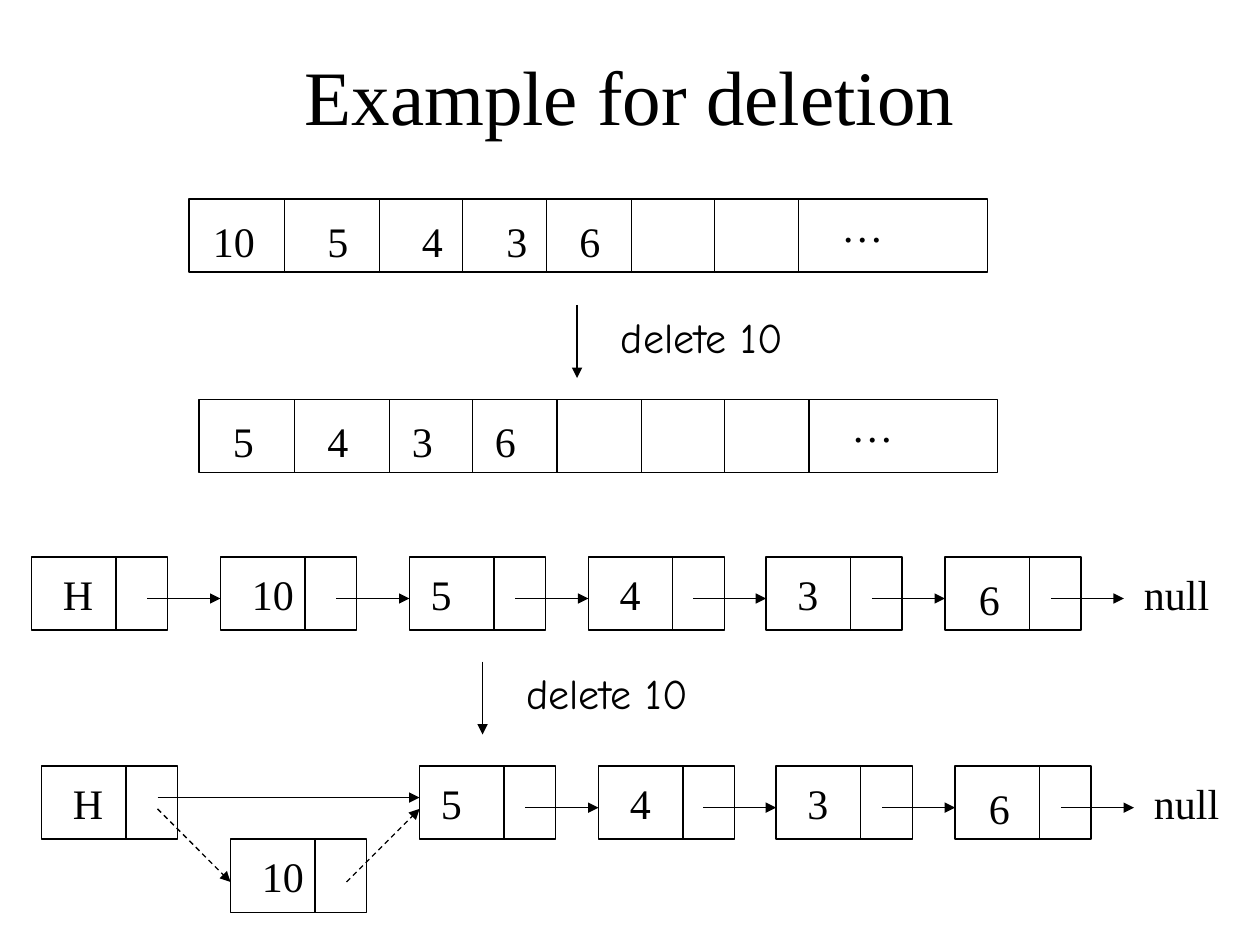
from lxml.etree import SubElement
from pptx import Presentation
from pptx.dml.color import RGBColor
from pptx.enum.dml import MSO_LINE
from pptx.enum.shapes import MSO_CONNECTOR, MSO_SHAPE
from pptx.enum.text import MSO_ANCHOR, PP_ALIGN
from pptx.oxml.ns import qn
from pptx.util import Inches, Pt

BLACK = RGBColor(0, 0, 0)
SERIF, HAND = "Times New Roman", "Comic Neue"
RECT, STRAIGHT = MSO_SHAPE.RECTANGLE, MSO_CONNECTOR.STRAIGHT
DASH, MIDDLE, CENTER = MSO_LINE.DASH, MSO_ANCHOR.MIDDLE, PP_ALIGN.CENTER

HIGH = 0.58          # height of every box, length of every short arrow
NODE, SPLIT = 1.08, 0.67
CUTS = (0.76, 1.51, 2.17, 2.84, 3.51, 4.17, 4.84)
STEPS = (0, 1.5, 3, 4.42, 5.83, 7.25, 8.67)   # six nodes, then null
# value: label offset in its node, label width
LABELS = {
    "H": (0.15, 0.04, 0.44),
    "10": (0.15, 0.04, 0.53),
    "5": (0.07, 0.04, 0.36),
    "4": (0.15, 0.04, 0.36),
    "3": (0.15, 0.04, 0.36),
    "6": (0.17, 0.08, 0.36),
}


class Board:
    def __init__(self, slide, weight=0.75, size=24):
        self.slide = slide
        self.weight = Pt(weight)
        self.size = size

    def text(self, words, x, y, wide, high=0.5, font=SERIF, size=None, tabs=()):
        box = self.slide.shapes.add_textbox(
            Inches(x), Inches(y), Inches(wide), Inches(high))
        frame = box.text_frame
        frame.word_wrap = bool(tabs)
        frame.text = words
        para = frame.paragraphs[0]
        if tabs:
            stops = SubElement(para._p.get_or_add_pPr(), qn("a:tabLst"))
            for stop in tabs:
                SubElement(stops, qn("a:tab"), pos=str(Inches(stop)), algn="l")
        face = para.runs[0].font
        face.name, face.size = font, Pt(size or self.size)
        face.color.rgb = BLACK
        return frame

    def title(self, words):
        frame = self.text(words, 0.75, 0.25, 8.5, 1, size=44)
        frame.word_wrap = True
        frame.vertical_anchor = MIDDLE
        frame.paragraphs[0].alignment = CENTER

    def rect(self, x, y, wide, home=None):
        shape = (home or self.slide).shapes.add_shape(
            RECT, Inches(x), Inches(y), Inches(wide), Inches(HIGH))
        shape.shadow.inherit = False
        shape.fill.background()
        shape.line.color.rgb = BLACK
        shape.line.width = self.weight

    def line(self, x1, y1, x2, y2, head=False, dash=False, home=None):
        link = (home or self.slide).shapes.add_connector(
            STRAIGHT, Inches(x1), Inches(y1), Inches(x2), Inches(y2))
        link.line.color.rgb = BLACK
        link.line.width = self.weight
        if dash:
            link.line.dash_style = DASH
        if head:
            SubElement(link.line._get_or_add_ln(), qn("a:tailEnd"), type="triangle")
        SubElement(link._element.spPr, qn("a:effectLst"))

    def array(self, x, y, words, start, tabs):
        self.rect(x, y, 6.34)
        for cut in CUTS:
            self.line(x + cut, y, x + cut, y + HIGH)
        self.text(words, start, y + 0.08, 3.28, tabs=tabs)
        self.text("…", x + 5.08, y - 0.04, 0.53)

    def node(self, value, x, y):
        group = self.slide.shapes.add_group_shape()
        self.rect(x, y, NODE, group)
        self.line(x + SPLIT, y, x + SPLIT, y + HIGH, home=group)
        dx, dy, wide = LABELS[value]
        self.text(value, x + dx, y + dy, wide)

    def hop(self, x, y):
        """Short arrow that ends at the left edge x of a node in row y."""
        self.line(x - HIGH, y + 0.33, x, y + 0.33, head=True)

    def null(self, x, y):
        self.hop(x, y)
        self.text("null", x + 0.06, y + 0.04, 0.72)

    def step(self, x, y):
        self.line(x, y, x, y + HIGH, head=True)
        self.text("delete 10", x + 0.25, y, 1.49, font=HAND)


def main():
    deck = Presentation()
    deck.slide_width, deck.slide_height = Inches(10), Inches(7.5)
    board = Board(deck.slides.add_slide(deck.slide_layouts[6]))
    board.title("Example for deletion")

    board.array(1.5, 1.58, "10\t5\t4\t3\t6", 1.59, (0.91, 1.66, 2.33, 2.91))
    board.step(4.58, 2.42)
    board.array(1.58, 3.17, "5\t4\t3\t6", 1.75, (0.75, 1.42, 2.08))

    # Linked list before
    top = 4.42
    spots = [0.25 + step for step in STEPS]
    for value, x in zip(LABELS, spots):
        board.node(value, x, top)
    for x in spots[1:-1]:
        board.hop(x, top)
    board.null(spots[-1], top)
    board.step(3.83, 5.25)

    # Linked list after: the node 10 drops out of the row
    top = 6.08
    spots = [0.33 + step for step in STEPS]
    for value, x in zip(LABELS, spots):
        board.node(value, x, top + HIGH if value == "10" else top)
    for x in spots[3:-1]:
        board.hop(x, top)
    board.null(spots[-1], top)
    board.line(1.25, 6.42, 1.83, 7, head=True, dash=True)
    board.line(2.75, 7, 3.33, 6.42, head=True, dash=True)
    board.line(1.25, 6.33, 3.33, 6.33, head=True)

    deck.save("out.pptx")


if __name__ == "__main__":
    main()
